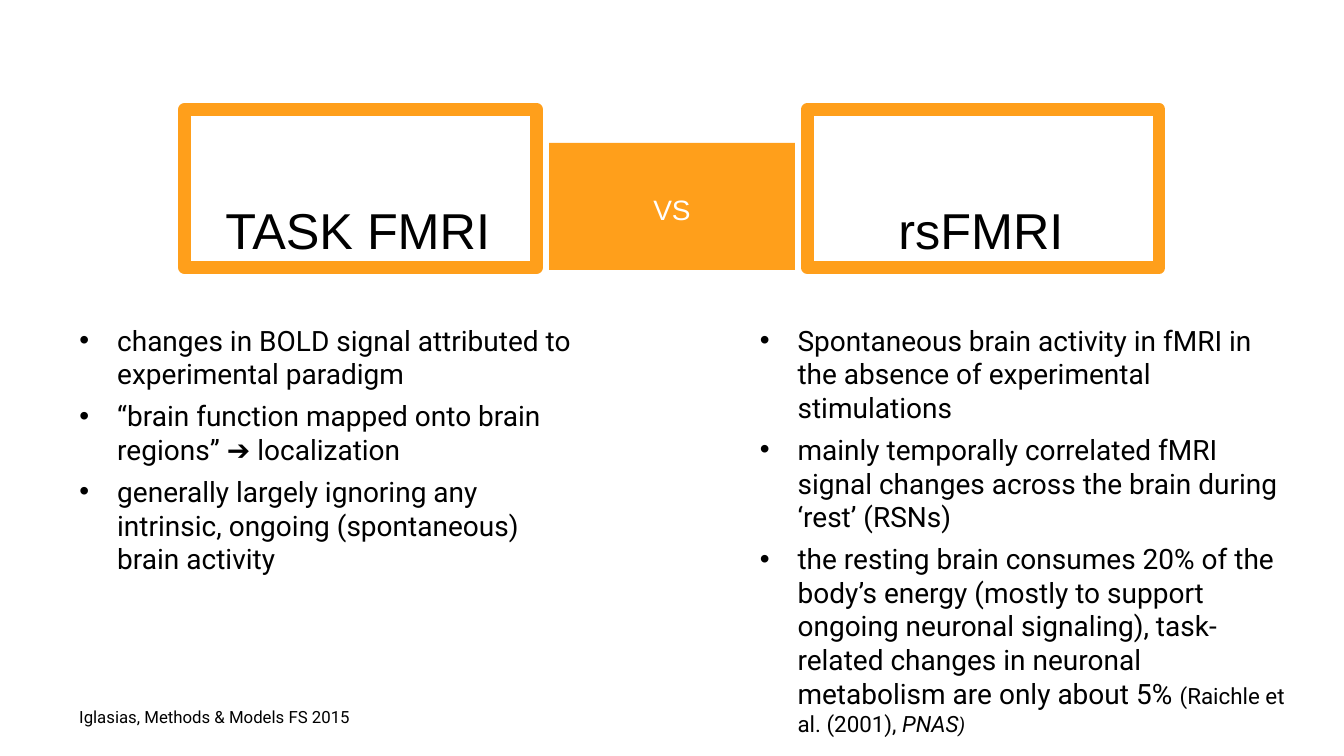
from dataclasses import dataclass

from pptx import Presentation
from pptx.dml.color import RGBColor
from pptx.enum.shapes import MSO_SHAPE
from pptx.enum.text import MSO_ANCHOR, MSO_AUTO_SIZE, PP_ALIGN
from pptx.util import Pt

RECT = MSO_SHAPE.RECTANGLE
TOP, MIDDLE = MSO_ANCHOR.TOP, MSO_ANCHOR.MIDDLE
LEFT, CENTER = PP_ALIGN.LEFT, PP_ALIGN.CENTER
NO_FIT = MSO_AUTO_SIZE.NONE

ORANGE = RGBColor(0xFF, 0x9F, 0x1B)
BLACK = RGBColor(0, 0, 0)
WHITE = RGBColor(0xFF, 0xFF, 0xFF)

PX = 9525  # EMU in one px, 96 px to the inch
INDENT = 36


@dataclass(frozen=True)
class Box:
    x: int
    y: int
    w: int
    h: int

    def emu(self) -> list[int]:
        return [v * PX for v in (self.x, self.y, self.w, self.h)]


@dataclass(frozen=True)
class Part:
    """A run of text, with what differs from its paragraph."""
    text: str
    size: int | None = None
    font: str | None = None
    italic: bool | None = None


@dataclass(frozen=True)
class Side:
    frame: Box
    title: str
    head: Box
    body: Box
    items: list[list[Part]]
    head_id: int
    body_id: int


TASK = Side(
    Box(176, 104, 335, 151), "TASK FMRI", Box(205, 185, 276, 68),
    Box(66, 303, 497, 220),
    [
        [Part("changes in BOLD signal attributed to experimental paradigm")],
        [Part("“brain function mapped onto brain regions” "),
         Part("➔", font="Arial"), Part(" localization")],
        [Part("generally largely ignoring any intrinsic, ongoing "
              "(spontaneous) brain activity")],
    ], 1, 2)
REST = Side(
    Box(769, 104, 335, 151), "rsFMRI", Box(846, 185, 185, 68),
    Box(714, 303, 526, 349),
    [
        [Part("Spontaneous brain activity in fMRI in the absence of "
              "experimental stimulations")],
        [Part("mainly temporally correlated fMRI signal changes across "
              "the brain during ‘rest’ (RSNs)")],
        [Part("the resting brain consumes 20% of the body’s energy (mostly "
              "to support ongoing neuronal signaling), task-related changes "
              "in neuronal metabolism are only about 5% "),
         Part("(Raichle et al. (2001), ", 16),
         Part("PNAS", 16, italic=True), Part(")", 14, italic=True)],
    ], 3, 4)
VERSUS = Box(523, 136, 234, 121)
SOURCE = Box(66, 668, 640, 29)


def place(shape, box: Box) -> None:
    shape.left, shape.top, shape.width, shape.height = box.emu()


def style(para, name: str, size: int, color: RGBColor, align=LEFT) -> None:
    para.alignment = align
    para.space_before = Pt(0)
    font = para.font
    font.name, font.size, font.bold = name, Pt(size), False
    font.color.rgb = color


def write(shape, text: str, name: str, size: int, color: RGBColor,
          align=LEFT, anchor=TOP) -> None:
    frame = shape.text_frame
    frame.word_wrap, frame.auto_size = True, NO_FIT
    frame.vertical_anchor = anchor
    frame.text = text
    style(frame.paragraphs[0], name, size, color, align)


def add_rect(slide, box: Box):
    rect = slide.shapes.add_shape(RECT, *box.emu())
    rect.shadow.inherit = False
    return rect


def add_list(shape, items: list[list[Part]]) -> None:
    frame = shape.text_frame
    frame.word_wrap, frame.auto_size = True, NO_FIT
    for i, parts in enumerate(items):
        para = frame.add_paragraph() if i else frame.paragraphs[0]
        props = para._p.get_or_add_pPr()
        props.set("marL", str(INDENT * PX))
        props.set("indent", str(-INDENT * PX))
        style(para, "Roboto", 20, BLACK)
        para.space_after = Pt(6)
        for part in parts:
            run = para.add_run()
            run.text = part.text
            if part.size:
                run.font.size = Pt(part.size)
            if part.font:
                run.font.name = part.font
            if part.italic:
                run.font.italic = True


def add_side(slide, side: Side) -> None:
    rect = add_rect(slide, side.frame)
    rect.fill.background()
    rect.line.color.rgb = ORANGE
    rect.line.width = Pt(9)
    holders = {h.placeholder_format.idx: h for h in slide.placeholders}
    head, body = holders[side.head_id], holders[side.body_id]
    place(head, side.head)
    write(head, side.title, "Arial", 36, BLACK)
    place(body, side.body)
    add_list(body, side.items)


def add_versus(slide) -> None:
    rect = add_rect(slide, VERSUS)
    rect.fill.solid()
    rect.fill.fore_color.rgb = ORANGE
    rect.line.fill.background()
    write(rect, "VS", "Arial", 20, WHITE, CENTER, MIDDLE)
    rect.text_frame.margin_top = 10 * PX


def main() -> None:
    deck = Presentation()
    deck.slide_width, deck.slide_height = 1280 * PX, 720 * PX
    slide = deck.slides.add_slide(deck.slide_layouts.get_by_name("Comparison"))
    title = slide.shapes.title.element
    title.getparent().remove(title)
    for side in (TASK, REST):
        add_side(slide, side)
    add_versus(slide)
    note = slide.shapes.add_textbox(*SOURCE.emu())
    write(note, "Iglasias, Methods & Models FS 2015", "Roboto", 12, BLACK)
    deck.save("out.pptx")


if __name__ == "__main__":
    main()
